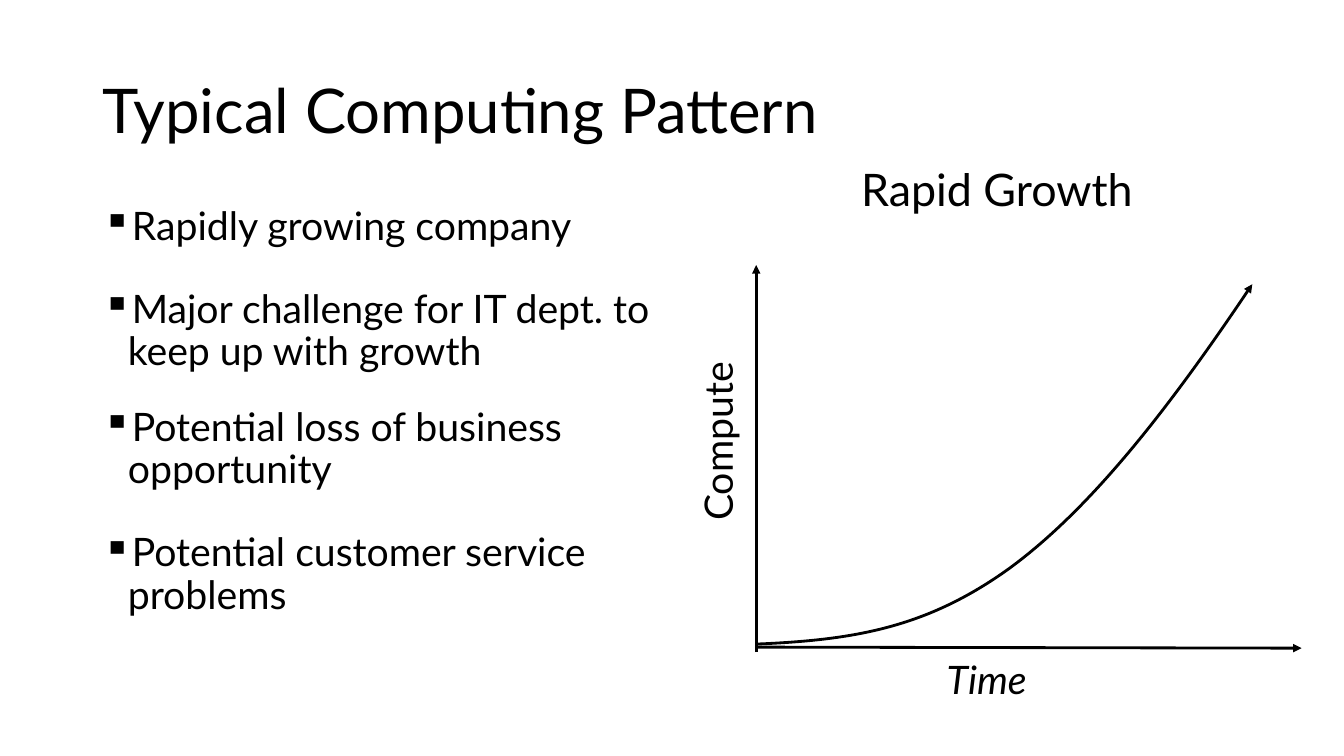
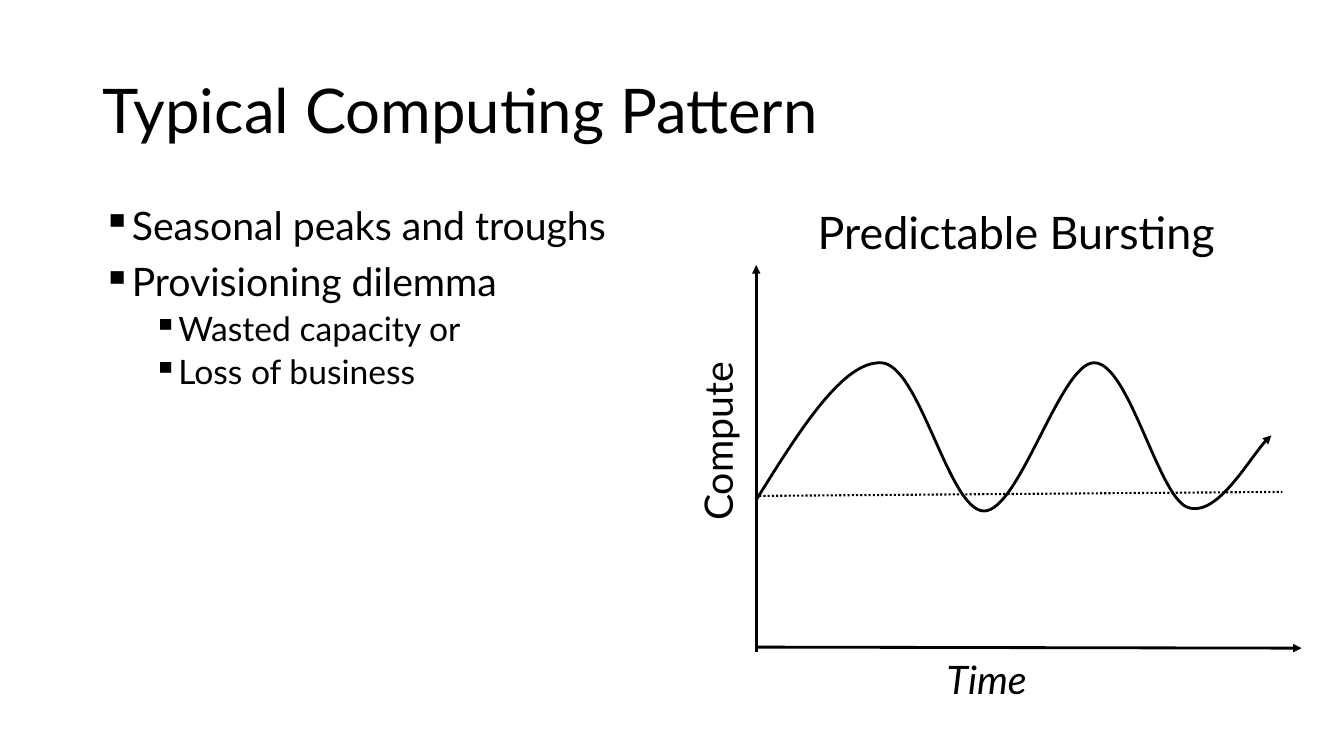
import pptx
import pptx.dml.color
import pptx.enum.dml
import pptx.enum.shapes
import pptx.enum.text
import pptx.oxml.ns
import pptx.oxml.xmlchemy
import pptx.util
from lxml import etree

Inches = pptx.util.Inches
Pt = pptx.util.Pt
qn = pptx.oxml.ns.qn
ALIGN = pptx.enum.text.PP_ALIGN

BLACK = pptx.dml.color.RGBColor(0, 0, 0)
WHITE = pptx.dml.color.RGBColor(255, 255, 255)
FONT = "Lato"
TITLE = "Typical Computing Pattern"
TITLE_BOX = (0.92, 0.4, 11.5, 1.45)
LIST_BOX = (0.92, 2, 5.67, 4.76)
GRAPH_BOX = (7.5, 2.63, 5.41, 3.8)


# Text
def add_text(slide, box, margins=(0.1, 0.05)):
    shape = slide.shapes.add_textbox(*map(Inches, box))
    frame = shape.text_frame
    frame.word_wrap = True
    frame.margin_left = frame.margin_right = Inches(margins[0])
    frame.margin_top = frame.margin_bottom = Inches(margins[1])
    return shape


def fill_para(para, text, size, before=0, spacing=None, italic=None):
    para.space_before = Pt(before)
    para.line_spacing = spacing
    run = para.add_run()
    run.text = text
    font = run.font
    font.name, font.size, font.italic = FONT, Pt(size), italic
    font.color.rgb = BLACK


def set_indent(para, left, hang):
    props = para._p.get_or_add_pPr()
    props.set("marL", str(Inches(left)))
    props.set("indent", str(-Inches(hang)))
    return props


def add_title(slide, box):
    frame = add_text(slide, box).text_frame
    frame.vertical_anchor = pptx.enum.text.MSO_ANCHOR.MIDDLE
    fill_para(frame.paragraphs[0], TITLE, 44, spacing=0.9)


def add_list(slide, box, items):
    """Each item is (level, space before, text)."""
    frame = add_text(slide, box).text_frame
    for pos, (level, before, text) in enumerate(items):
        para = frame.add_paragraph() if pos else frame.paragraphs[0]
        para.level = level
        fill_para(para, text, 28 - 4 * level, before, 0.9)
        props = set_indent(para, 0.25 + 0.5 * level, 0.25)
        etree.SubElement(props, qn("a:buChar")).set("char", "▪")


# Lines
def style_line(shape, width=2, arrow=True, dash=None):
    line = shape.line
    line.color.rgb = BLACK
    line.width = Pt(width)
    if dash:
        line.dash_style = dash
    props = shape._element.spPr
    if arrow:
        etree.SubElement(props.find(qn("a:ln")), qn("a:tailEnd")).set("type", "triangle")
    etree.SubElement(props, qn("a:effectLst"))


def add_line(slide, start, end, **style):
    kind = pptx.enum.shapes.MSO_CONNECTOR.STRAIGHT
    line = slide.shapes.add_connector(kind, *map(Inches, start + end))
    style_line(line, **style)


def add_curve(slide, points):
    """Draw a start point followed by triples of Bezier points."""
    spots = [(Inches(x), Inches(y)) for x, y in points]
    pen = slide.shapes.build_freeform(*spots[0])
    pen.add_line_segments(spots[1:], close=False)
    curve = pen.convert_to_shape()
    curve.fill.background()
    # Join each three straight steps into one cubic step
    steps = list(curve._element.iter(qn("a:lnTo")))
    for pos in range(0, len(steps), 3):
        cubic = etree.Element(qn("a:cubicBezTo"))
        steps[pos].addprevious(cubic)
        for step in steps[pos:pos + 3]:
            cubic.append(step[0])
            step.getparent().remove(step)
    style_line(curve)


# Graph: points and label boxes are measured from the box corner
def add_graph(slide, box, head, head_box, points, base=None):
    left, top, width, height = box

    def shift(x, y, *size):
        return (left + x, top + y) + size

    # Axes
    add_line(slide, shift(0, height + 0.04), shift(0, 0))
    add_line(slide, shift(0, height - 0.01), shift(width, height))

    # Axis labels
    time = add_text(slide, shift(1.89, height + 0.07, 1.96, 0.58), (0, 0))
    fill_para(time.text_frame.paragraphs[0], "Time", 28, 5.6, italic=True)
    label = add_text(slide, shift(-2.42, 1.62, 4.4, 0.26))
    label.rotation = 270
    label.text_frame.auto_size = pptx.enum.text.MSO_AUTO_SIZE.SHAPE_TO_FIT_TEXT
    para = label.text_frame.paragraphs[0]
    para.alignment = ALIGN.CENTER
    fill_para(para, "Compute", 28, 5.6, Pt(10.7))
    set_indent(para, 0.33, 0.33)

    # Heading, curve and base line
    title = add_text(slide, shift(*head_box), (0, 0.05))
    fill_para(title.text_frame.paragraphs[0], head, 32, 6.4, 0.9)
    add_curve(slide, [shift(*point) for point in points])
    if base:
        dots = pptx.enum.dml.MSO_LINE.ROUND_DOT
        add_line(slide, shift(*base[0]), shift(*base[1]),
                 width=1.5, arrow=False, dash=dots)


def add_slide(deck, items, **graph):
    slide = deck.slides.add_slide(deck.slide_layouts[6])
    slide.background.fill.solid()
    slide.background.fill.fore_color.rgb = WHITE
    add_title(slide, TITLE_BOX)
    add_list(slide, LIST_BOX, items)
    add_graph(slide, GRAPH_BOX, **graph)


def main():
    deck = pptx.Presentation()
    deck.slide_width, deck.slide_height = Inches(13.33), Inches(7.5)

    add_slide(
        deck,
        [(0, 10, "Rapidly growing company"),
         (0, 29, "Major challenge for IT dept. to keep up with growth"),
         (0, 24, "Potential loss of business opportunity"),
         (0, 29, "Potential customer service problems")],
        head="Rapid Growth",
        head_box=(1.04, -1.01, 3.33, 0.59),
        points=[(0, 3.76),
                (0.97, 3.72), (1.69, 3.6), (2.51, 3.01),
                (3.33, 2.41), (4.13, 1.37), (4.92, 0.19)])

    add_slide(
        deck,
        [(0, 10, "Seasonal peaks and troughs"),
         (0, 10, "Provisioning dilemma"),
         (1, 5, "Wasted capacity or"),
         (1, 5, "Loss of business")],
        head="Predictable Bursting",
        head_box=(0.61, -0.59, 4.19, 0.59),
        points=[(0, 2.33),
                (0.43, 1.64), (0.86, 0.95), (1.24, 0.97),
                (1.62, 0.98), (1.91, 2.44), (2.26, 2.44),
                (2.61, 2.44), (3.02, 0.97), (3.35, 0.97),
                (3.69, 0.96), (3.98, 2.27), (4.27, 2.4),
                (4.56, 2.52), (4.95, 1.81), (5.11, 1.69)],
        base=((0.03, 2.29), (5.22, 2.25)))

    deck.save("out.pptx")


if __name__ == "__main__":
    main()
